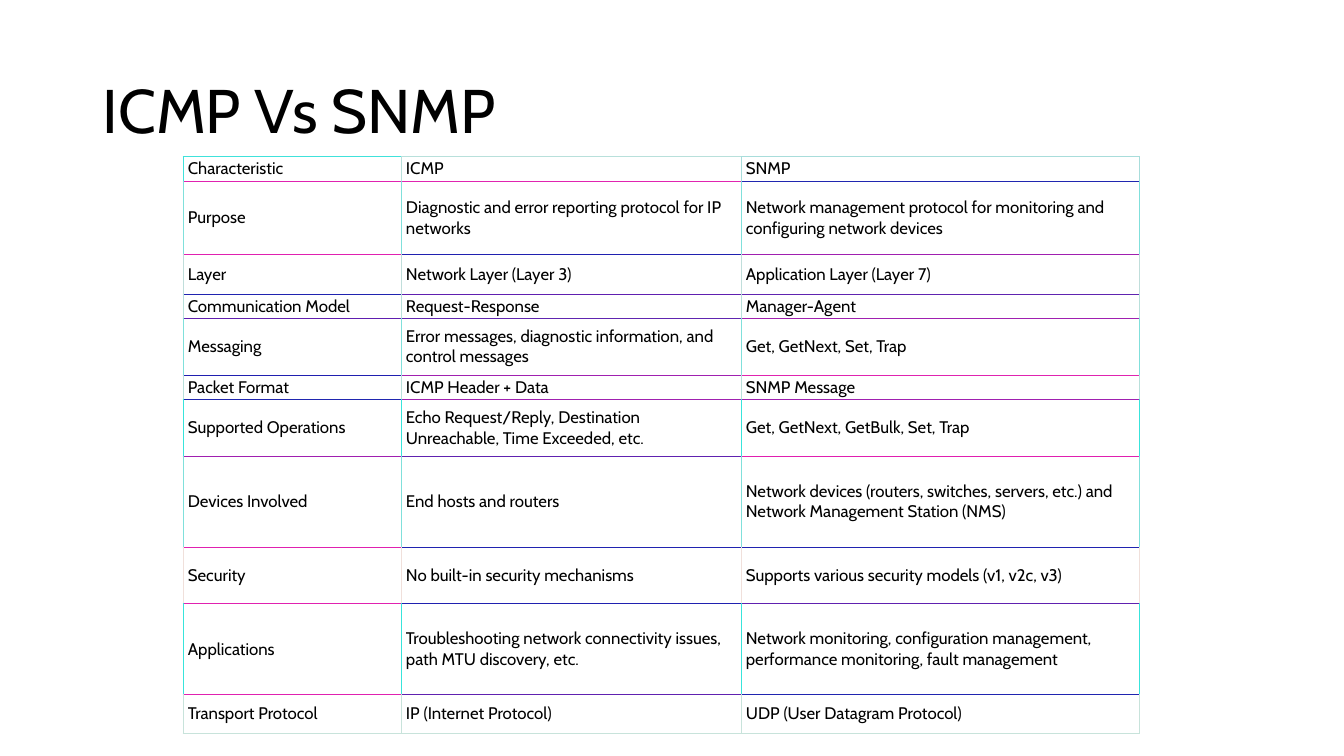
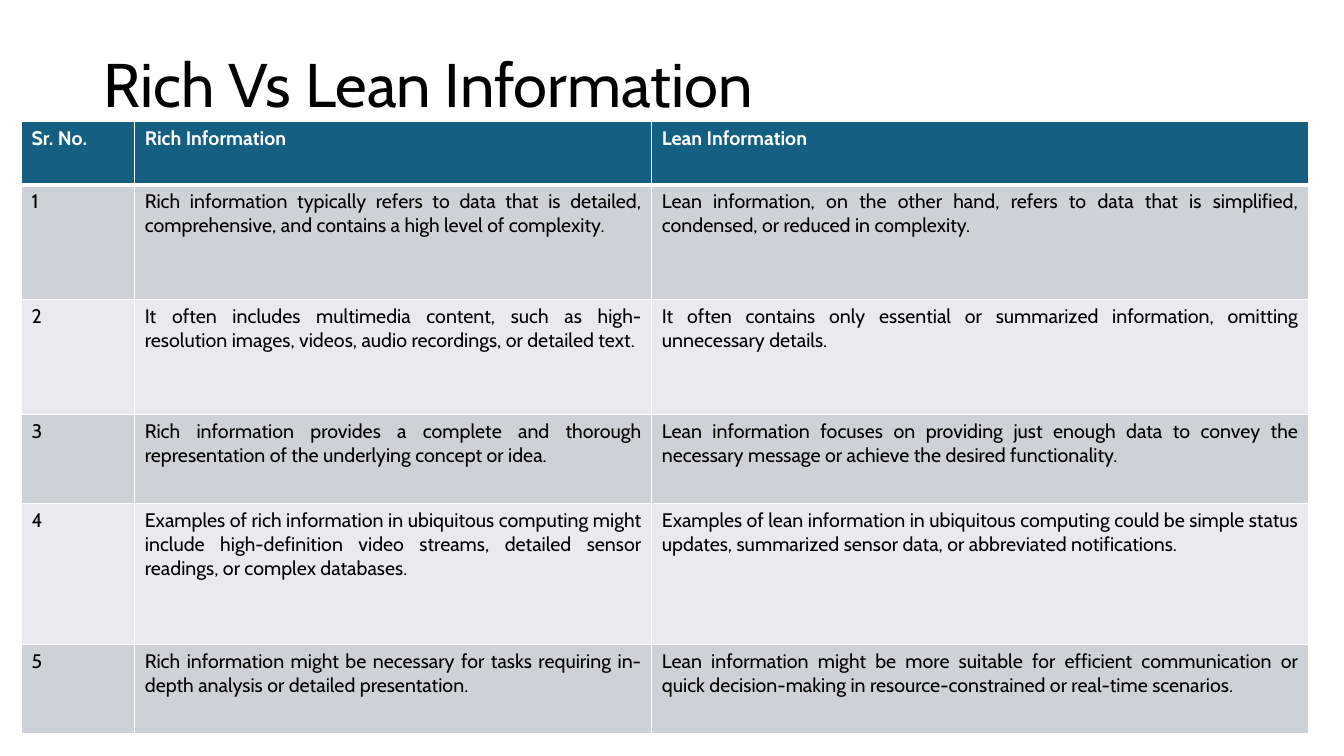
from dataclasses import dataclass
from typing import Optional, Sequence

from lxml import etree
from pptx import Presentation
from pptx import util as u
from pptx.dml import color
from pptx.enum import text
from pptx.oxml import ns

Pt = u.Pt
LEFT, JUSTIFY = text.PP_ALIGN.LEFT, text.PP_ALIGN.JUSTIFY
TOP, MIDDLE = text.MSO_ANCHOR.TOP, text.MSO_ANCHOR.MIDDLE


@dataclass(frozen=True)
class Theme:
    font: str = "Cabin"
    ink: str = "000000"
    white: str = "FFFFFF"
    header: str = "156082"
    bands: tuple[str, str] = ("CCD2D8", "E8EAED")
    title_size: float = 44
    compact_size: float = 12
    body_size: float = 14
    hairline: float = 0.38
    rule: float = 1
    header_rule: float = 3


THEME = Theme()


@dataclass(frozen=True)
class Border:
    colour: str
    width: float


@dataclass(frozen=True)
class CellStyle:
    size: float
    left: Border
    right: Border
    top: Border
    bottom: Border
    colour: str = THEME.ink
    fill: Optional[str] = None
    bold: bool = False
    align: text.PP_ALIGN = LEFT
    anchor: text.MSO_ANCHOR = TOP
    inset_x: float = 7.2
    inset_y: float = 3.6


@dataclass(frozen=True)
class ProtocolRow:
    height: float
    sides: tuple[str, ...]
    bottoms: tuple[str, str, str]
    texts: tuple[str, str, str]


@dataclass(frozen=True)
class InfoRow:
    height: float
    texts: tuple[str, str, str]


def even(colour: str) -> tuple[str, ...]:
    return (colour,) * 4


PROTOCOLS = [
    ProtocolRow(16, ("40E2DB", "B8E0DB", "A8DDDB", "A8DDDB"), ("E022B0", "E024B0", "2026B0"),
                ("Characteristic", "ICMP", "SNMP")),
    ProtocolRow(52.8, even("80E0DB"), ("E020B0", "2020B0", "A01FB0"),
                ("Purpose", "Diagnostic and error reporting protocol for IP networks",
                 "Network management protocol for monitoring and configuring network devices")),
    ProtocolRow(28, even("C0DEDB"), ("2023B0", "601FB0", "6023B0"),
                ("Layer", "Network Layer (Layer 3)", "Application Layer (Layer 7)")),
    ProtocolRow(16, even("B8E0DB"), ("601EB0", "6025B0", "A020B0"),
                ("Communication Model", "Request-Response", "Manager-Agent")),
    ProtocolRow(40.5, even("80E0DB"), ("201FB0", "A020B0", "E023B0"),
                ("Messaging", "Error messages, diagnostic information, and control messages",
                 "Get, GetNext, Set, Trap")),
    ProtocolRow(16, even("B8E0DB"), ("2026B0", "A021B0", "A020B0"),
                ("Packet Format", "ICMP Header + Data", "SNMP Message")),
    ProtocolRow(40.5, even("38E4DB"), ("A01FB0", "6022B0", "E01FB0"),
                ("Supported Operations",
                 "Echo Request/Reply, Destination Unreachable, Time Exceeded, etc.",
                 "Get, GetNext, GetBulk, Set, Trap")),
    ProtocolRow(64.8, even("80E0DB"), ("E021B0", "2023B0", "2023B0"),
                ("Devices Involved", "End hosts and routers",
                 "Network devices (routers, switches, servers, etc.) and "
                 "Network Management Station (NMS)")),
    ProtocolRow(40.5, even("F0E0DB"), ("E022B0", "2021B0", "6021B0"),
                ("Security", "No built-in security mechanisms",
                 "Supports various security models (v1, v2c, v3)")),
    ProtocolRow(64.8, even("38E4DB"), ("E021B0", "6021B0", "2024B0"),
                ("Applications",
                 "Troubleshooting network connectivity issues, path MTU discovery, etc.",
                 "Network monitoring, configuration management, performance monitoring, "
                 "fault management")),
    ProtocolRow(28, even("C8E3DB"), ("C8E3DB", "C8E3DB", "C8E3DB"),
                ("Transport Protocol", "IP (Internet Protocol)", "UDP (User Datagram Protocol)")),
]

INFORMATION = [
    InfoRow(45.2, ("Sr. No.", "Rich Information", "Lean Information")),
    InfoRow(82.2, ("1", "Rich information typically refers to data that is detailed, "
                   "comprehensive, and contains a high level of complexity.",
                   "Lean information, on the other hand, refers to data that is simplified, "
                   "condensed, or reduced in complexity.")),
    InfoRow(82.2, ("2", "It often includes multimedia content, such as high-resolution images, "
                   "videos, audio recordings, or detailed text.",
                   "It often contains only essential or summarized information, omitting "
                   "unnecessary details.")),
    InfoRow(63.5, ("3", "Rich information provides a complete and thorough representation of "
                   "the underlying concept or idea.",
                   "Lean information focuses on providing just enough data to convey the "
                   "necessary message or achieve the desired functionality.")),
    InfoRow(100.8, ("4", "Examples of rich information in ubiquitous computing might include "
                    "high-definition video streams, detailed sensor readings, or complex "
                    "databases.",
                    "Examples of lean information in ubiquitous computing could be simple status "
                    "updates, summarized sensor data, or abbreviated notifications.")),
    InfoRow(63.5, ("5", "Rich information might be necessary for tasks requiring in-depth "
                   "analysis or detailed presentation.",
                   "Lean information might be more suitable for efficient communication or "
                   "quick decision-making in resource-constrained or real-time scenarios.")),
]


def add_run(p, content: str, size: float, colour: str, bold: bool = False) -> None:
    r = p.add_run()
    r.text = content
    r.font.name = THEME.font
    r.font.size = Pt(size)
    r.font.bold = bold
    r.font.color.rgb = color.RGBColor.from_string(colour)


def add_titled_slide(prs, title: str, left: float, top: float):
    s = prs.slides.add_slide(prs.slide_layouts[5])
    sp = s.shapes.title
    sp.left, sp.top, sp.width, sp.height = Pt(left), Pt(top), Pt(828), Pt(104.4)
    tf = sp.text_frame
    tf.word_wrap = True
    tf.auto_size = text.MSO_AUTO_SIZE.NONE
    tf.vertical_anchor = MIDDLE
    p = tf.paragraphs[0]
    p.alignment = LEFT
    p.line_spacing = 0.9
    add_run(p, title, THEME.title_size, THEME.ink)
    return s


def set_border(cell, side: str, border: Border) -> None:
    tc_pr = cell._tc.get_or_add_tcPr()
    ln = etree.SubElement(tc_pr, ns.qn(f"a:ln{side}"), w=str(int(Pt(border.width))))
    fill = etree.SubElement(ln, ns.qn("a:solidFill"))
    etree.SubElement(fill, ns.qn("a:srgbClr"), val=border.colour)


def fill_cell(cell, content: str, style: CellStyle) -> None:
    borders = {"L": style.left, "R": style.right, "T": style.top, "B": style.bottom}
    for side, border in borders.items():
        set_border(cell, side, border)
    if style.fill:
        cell.fill.solid()
        cell.fill.fore_color.rgb = color.RGBColor.from_string(style.fill)
    else:
        cell.fill.background()
    cell.vertical_anchor = style.anchor
    cell.margin_left = cell.margin_right = Pt(style.inset_x)
    cell.margin_top = cell.margin_bottom = Pt(style.inset_y)
    p = cell.text_frame.paragraphs[0]
    p.alignment = style.align
    add_run(p, content, style.size, style.colour, style.bold)


def add_grid(s, left: float, top: float, widths: Sequence[float], heights: Sequence[float]):
    frame = s.shapes.add_table(len(heights), len(widths), Pt(left), Pt(top),
                               Pt(sum(widths)), Pt(sum(heights)))
    table = frame.table
    table.first_row = table.horz_banding = False
    for column, width in zip(table.columns, widths):
        column.width = Pt(width)
    for row, height in zip(table.rows, heights):
        row.height = Pt(height)
    return table


def protocol_style(i: int, j: int) -> CellStyle:
    row = PROTOCOLS[i]
    tops = PROTOCOLS[i - 1].bottoms if i else row.sides
    edges = (row.sides[j], row.sides[j + 1], tops[j], row.bottoms[j])
    left, right, top, bottom = (Border(c, THEME.hairline) for c in edges)
    return CellStyle(THEME.compact_size, left, right, top, bottom,
                     anchor=MIDDLE, inset_x=3.6, inset_y=1.44)


def info_style(i: int, j: int) -> CellStyle:
    thin = Border(THEME.white, THEME.rule)
    thick = Border(THEME.white, THEME.header_rule)
    if i == 0:
        return CellStyle(THEME.body_size, thin, thin, thin, thick,
                         colour=THEME.white, fill=THEME.header, bold=True)
    return CellStyle(THEME.body_size, thin, thin, thick if i == 1 else thin, thin,
                     fill=THEME.bands[(i - 1) % 2], align=JUSTIFY if j else LEFT)


def add_comparison(s, rows, style_of, left: float, top: float, widths: Sequence[float]) -> None:
    table = add_grid(s, left, top, widths, [row.height for row in rows])
    for i, row in enumerate(rows):
        for j, content in enumerate(row.texts):
            fill_cell(table.cell(i, j), content, style_of(i, j))


def main() -> None:
    prs = Presentation()
    prs.slide_width, prs.slide_height = Pt(960), Pt(540)
    s = add_titled_slide(prs, "ICMP Vs SNMP", 66, 28.75)
    add_comparison(s, PROTOCOLS, protocol_style, 130.6, 111.6, (155.8, 242.8, 284.4))
    s = add_titled_slide(prs, "Rich Vs Lean Information", 66.8, 10)
    add_comparison(s, INFORMATION, info_style, 15.3, 86.7, (81, 369.3, 469.2))
    prs.save("out.pptx")


if __name__ == "__main__":
    main()
